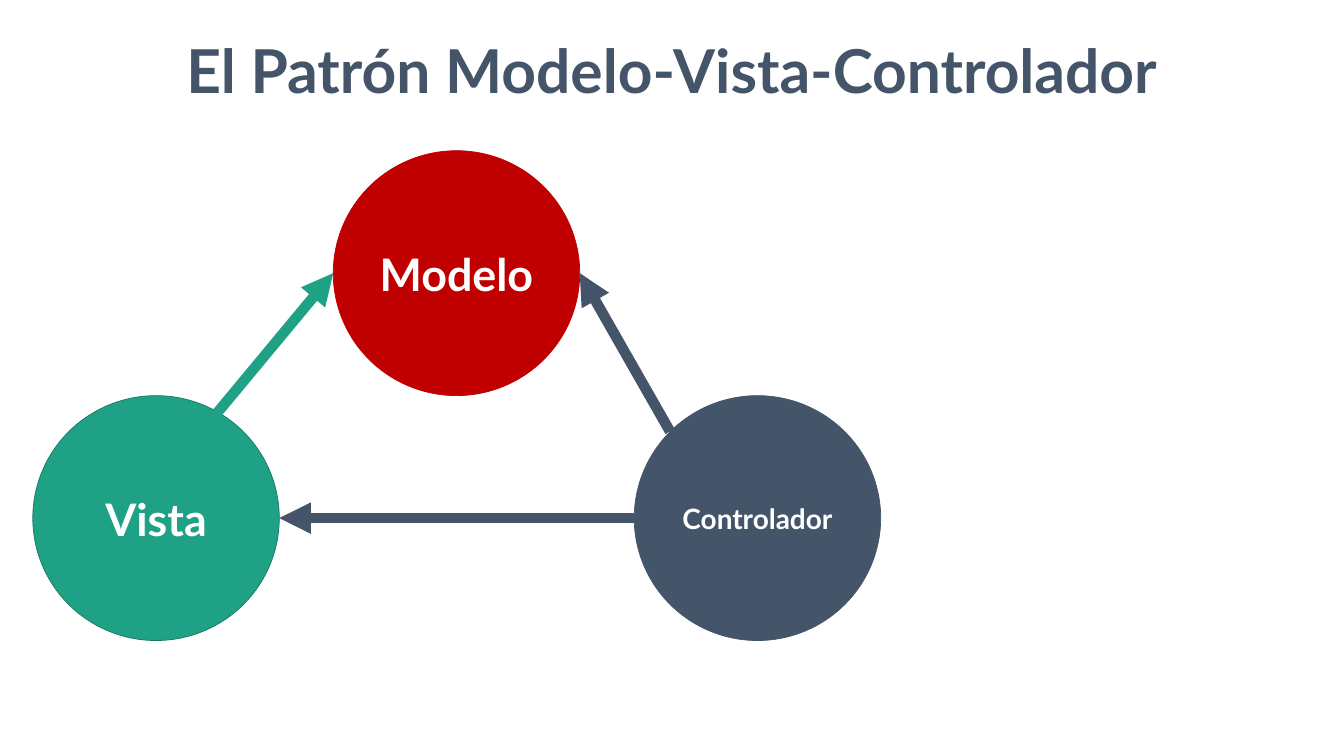
from lxml import etree
from pptx import Presentation
from pptx import util as u
from pptx.dml.color import RGBColor
from pptx.enum import shapes, text
from pptx.oxml.ns import qn

PX = 9144  # EMU per px, 100 px to the inch
FONT = "Lato"
COLORS = {
    "slate": "445469",
    "red": "C00000",
    "green": "1EA185",
    "dark_green": "167762",
    "white": "FFFFFF",
}
CIRCLE_W, CIRCLE_H = 489, 486
TOP_ROW, BOTTOM_ROW = 299, 785


def px(*lengths):
    return [u.Emu(length * PX) for length in lengths]


def color(name):
    return RGBColor.from_string(COLORS[name])


def write(frame, words, size, color_name):
    paragraph = frame.paragraphs[0]
    paragraph.alignment = text.PP_ALIGN.CENTER
    run = paragraph.add_run()
    run.text = words
    run.font.name = FONT
    run.font.size = u.Pt(size)
    run.font.bold = True
    run.font.color.rgb = color(color_name)
    return paragraph


def add_title(slide, words):
    title = slide.shapes.title
    title.left, title.top, title.width, title.height = px(333, 0, 1999, 221)
    frame = title.text_frame
    frame.word_wrap = True
    frame.auto_size = text.MSO_AUTO_SIZE.NONE
    frame.vertical_anchor = text.MSO_ANCHOR.BOTTOM
    frame.margin_left, frame.margin_right = px(20, 20)
    frame.margin_top, frame.margin_bottom = px(10, 10)
    write(frame, words, 86.4, "slate").line_spacing = 0.9


def add_component(slide, label, left, top, size, fill, outline):
    circle = slide.shapes.add_shape(
        shapes.MSO_SHAPE.OVAL, *px(left, top, CIRCLE_W, CIRCLE_H))
    circle.shadow.inherit = False
    circle.fill.solid()
    circle.fill.fore_color.rgb = color(fill)
    circle.line.color.rgb = color(outline)
    circle.line.width = u.Pt(1)
    circle.text_frame.vertical_anchor = text.MSO_ANCHOR.MIDDLE
    write(circle.text_frame, label, size, "white")


def add_arrow(slide, start, end, color_name):
    arrow = slide.shapes.add_connector(
        shapes.MSO_CONNECTOR.STRAIGHT, *px(*start, *end))
    arrow.line.color.rgb = color(color_name)
    arrow.line.width = u.Pt(15)
    etree.SubElement(arrow.line._get_or_add_ln(), qn("a:tailEnd"), type="triangle")
    etree.SubElement(arrow._element.spPr, qn("a:effectLst"))


def main():
    deck = Presentation()
    deck.slide_width, deck.slide_height = px(2666, 1500)
    slide = deck.slides.add_slide(deck.slide_layouts[5])
    add_title(slide, "El Patrón Modelo-Vista-Controlador")

    view_left, model_left, controller_left = 65, 661, 1258
    add_component(slide, "Modelo", model_left, TOP_ROW, 64, "red", "red")
    add_component(slide, "Controlador", controller_left, BOTTOM_ROW, 40, "slate", "slate")
    add_component(slide, "Vista", view_left, BOTTOM_ROW, 64, "green", "dark_green")

    model_middle = TOP_ROW + CIRCLE_H // 2
    bottom_middle = BOTTOM_ROW + CIRCLE_H // 2
    add_arrow(slide, (1329, 856), (model_left + CIRCLE_W, model_middle), "slate")
    add_arrow(slide, (controller_left, bottom_middle),
              (view_left + CIRCLE_W, bottom_middle), "slate")
    add_arrow(slide, (421, 831), (model_left, model_middle), "green")
    deck.save("out.pptx")


if __name__ == "__main__":
    main()
